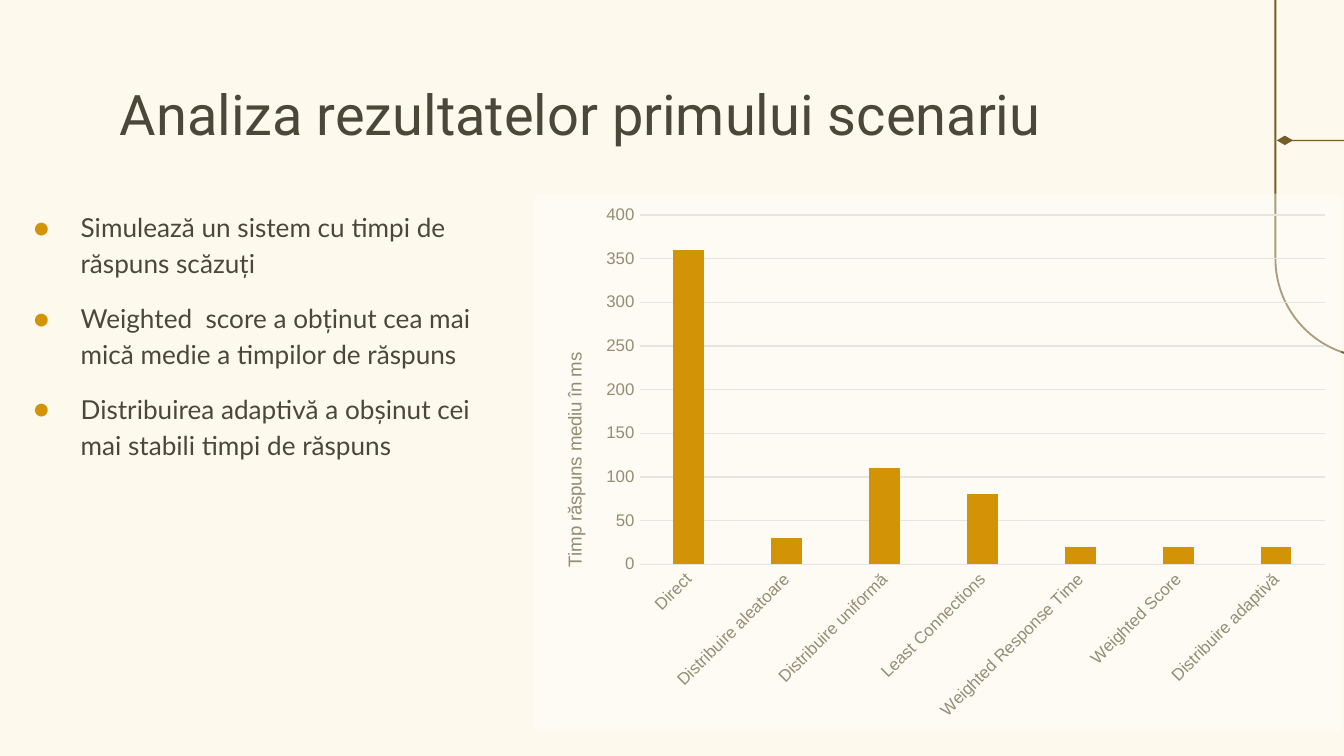
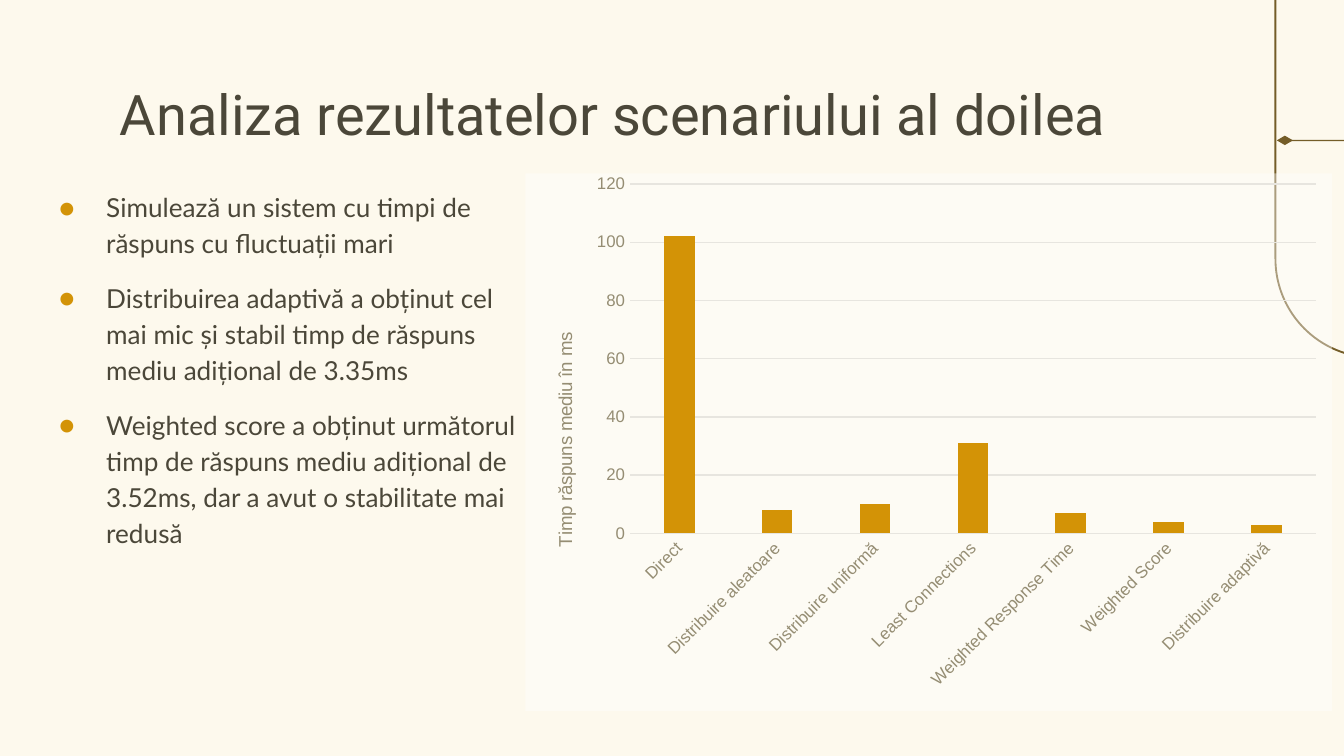
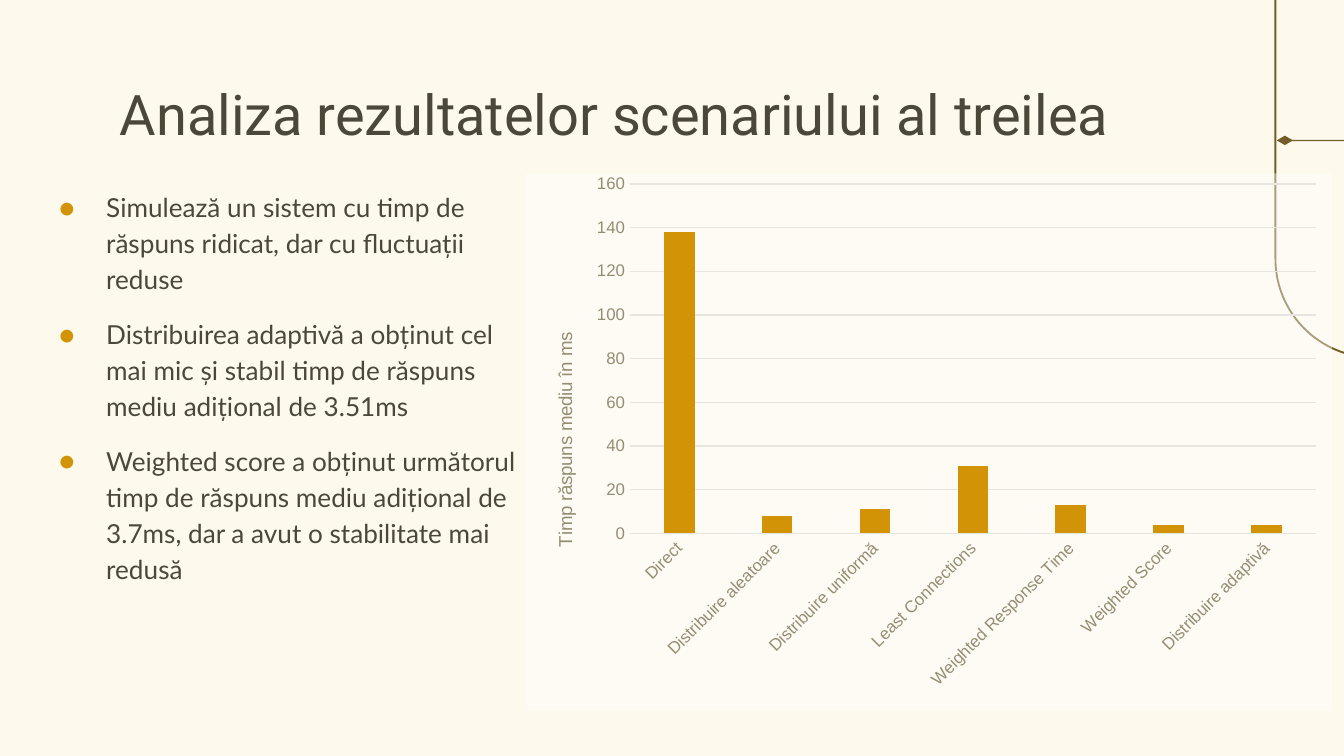
from pptx import Presentation
from pptx import util as u
from pptx.chart.data import CategoryChartData
from pptx.dml.color import RGBColor
from pptx.enum import chart as ch, shapes, text
from pptx.oxml import parse_xml
from pptx.oxml.ns import nsdecls

CREAM, BROWN, INK = "FDF9ED", "745D28", "4B4739"
GOLD, TAUPE, GRID = "D39306", "958D73", "E7E5DF"
HEAD = {"name": "Roboto", "size": u.Pt(30), "bold": False}
LIST = {"name": "Lato", "size": u.Pt(14)}
TICK = {"name": "Arial", "size": u.Pt(9), "bold": False}
LABEL = {**TICK, "size": u.Pt(10)}

METHODS = ["Direct", "Distribuire aleatoare", "Distribuire uniformă",
           "Least Connections", "Weighted Response Time",
           "Weighted Score", "Distribuire adaptivă"]

PAGES = [
    {"title": "Analiza rezultatelor primului scenariu",
     "points": ["Simulează un sistem cu timpi de răspuns scăzuți",
                "Weighted  score a obținut cea mai mică medie a timpilor de răspuns",
                "Distribuirea adaptivă a obșinut cei mai stabili timpi de răspuns"],
     "times": [360, 30, 110, 80, 20, 20, 20],
     "top": 1.44, "left": 0, "edge": 3.98, "peak": 400, "step": 50, "inset": 0.04},
    {"title": "Analiza rezultatelor scenariului al doilea",
     "points": ["Simulează un sistem cu timpi de răspuns cu fluctuații mari",
                "Distribuirea adaptivă a obținut cel mai mic și stabil timp de "
                "răspuns mediu adițional de 3.35ms",
                "Weighted score a obținut următorul timp de răspuns mediu "
                "adițional de 3.52ms, dar a avut o stabilitate mai redusă"],
     "times": [102, 8, 10, 31, 7, 4, 3],
     "top": 1.29, "left": 0.19, "edge": 3.91, "peak": 120, "step": 20, "inset": 0.02},
    {"title": "Analiza rezultatelor scenariului al treilea",
     "points": ["Simulează un sistem cu timp de răspuns ridicat, dar cu fluctuații reduse",
                "Distribuirea adaptivă a obținut cel mai mic și stabil timp de "
                "răspuns mediu adițional de 3.51ms",
                "Weighted score a obținut următorul timp de răspuns mediu "
                "adițional de 3.7ms, dar a avut o stabilitate mai redusă"],
     "times": [138, 8, 11, 31, 13, 4, 4],
     "top": 1.29, "left": 0.19, "edge": 3.91, "peak": 160, "step": 20, "inset": 0.02},
]


def rgb(code):
    return RGBColor.from_string(code)


def apply(item, values):
    for key, value in values.items():
        setattr(item, key, value)


def style(font, values, color):
    apply(font, values)
    font.color.rgb = rgb(color)


def box(*lengths):
    return [u.Inches(n) for n in lengths]


def place(part, index, **spots):
    """Give a chart part a manual layout, in fractions of the chart."""
    for old in part.xpath("c:layout"):
        part.remove(old)
    modes = {"xMode": "edge", "yMode": "edge", **spots}
    marks = "".join(f'<c:{key} val="{value}"/>' for key, value in modes.items())
    part.insert(index, parse_xml(
        f'<c:layout {nsdecls("c")}><c:manualLayout>{marks}'
        '</c:manualLayout></c:layout>'))


class Deck:
    def __init__(self):
        self.show = Presentation()
        apply(self.show, {"slide_width": u.Inches(10),
                          "slide_height": u.Inches(10 * 9 / 16)})
        self.base = self.show.slide_layouts[1]
        fill = self.base.background.fill
        fill.solid()
        fill.fore_color.rgb = rgb(CREAM)

    def page(self):
        self.slide = self.show.slides.add_slide(self.base)

    def holder(self, index, *lengths):
        """Move a placeholder and return its text frame."""
        shape = self.slide.placeholders[index]
        apply(shape, dict(zip(("left", "top", "width", "height"), box(*lengths))))
        frame = shape.text_frame
        sides = ("left", "top", "right", "bottom")
        apply(frame, {f"margin_{side}": u.Inches(0.1) for side in sides})
        apply(frame, {"word_wrap": True, "auto_size": text.MSO_AUTO_SIZE.NONE,
                      "vertical_anchor": text.MSO_ANCHOR.TOP})
        return frame

    def title(self, words):
        frame = self.holder(0, 0.79, 0.49, 8.43, 0.63)
        frame.text = words
        para = frame.paragraphs[0]
        para.alignment = text.PP_ALIGN.LEFT
        style(para.runs[0].font, HEAD, INK)

    def points(self, lines, left, top):
        frame = self.holder(1, left, top, 3.79, 3.22)
        frame.text = "\n".join(lines)
        for para in frame.paragraphs:
            apply(para, {"line_spacing": 1.15, "space_before": u.Pt(10),
                         "space_after": u.Pt(0), "alignment": text.PP_ALIGN.LEFT})
            style(para.runs[0].font, LIST, INK)
            props = para._p.get_or_add_pPr()
            props.set("marL", str(u.Inches(0.5)))
            props.set("indent", str(u.Inches(-0.35)))
            for mark in (f'buClr {nsdecls("a")}><a:srgbClr val="{GOLD}"/></a:buClr',
                         f'buFont {nsdecls("a")} typeface="Lato"/',
                         f'buChar {nsdecls("a")} char="●"/'):
                props.append(parse_xml(f"<a:{mark}>"))

    def chart(self, times, left, top, peak, step, inset):
        data = CategoryChartData()
        data.categories = METHODS
        data.add_series("Series 1", times)
        chart = self.slide.shapes.add_chart(
            ch.XL_CHART_TYPE.COLUMN_CLUSTERED, *box(left, top, 6, 4), data).chart
        apply(chart, {"has_legend": False, "has_title": False})
        style(chart.font, LABEL, INK)

        plot = chart.plots[0]
        apply(plot, {"gap_width": 219, "overlap": -27, "vary_by_categories": False})
        fill = plot.series[0].format.fill
        fill.solid()
        fill.fore_color.rgb = rgb(GOLD)

        cats, vals = chart.category_axis, chart.value_axis
        for axis in (cats, vals):
            apply(axis, {"major_tick_mark": ch.XL_TICK_MARK.NONE,
                         "minor_tick_mark": ch.XL_TICK_MARK.NONE})
            style(axis.tick_labels.font, TICK, TAUPE)
        apply(vals, {"minimum_scale": 0, "maximum_scale": peak,
                     "major_unit": step, "has_major_gridlines": True})
        for line in (cats.format.line, vals.major_gridlines.format.line):
            line.width = u.Pt(0.75)
            line.color.rgb = rgb(GRID)
        vals.format.line.fill.background()

        para = vals.axis_title.text_frame.paragraphs[0]
        run = para.add_run()
        run.text = "Timp răspuns mediu în ms"
        style(run.font, LABEL, TAUPE)

        root = chart.element
        for spot, turn in (("c:catAx/c:txPr", -45), ("c:valAx/c:title", -90)):
            body = root.xpath(f".//{spot}//a:bodyPr")[0]
            body.set("rot", str(turn * 60000))
            body.set("vert", "horz")
        place(root.xpath(".//c:valAx/c:title")[0], 1, x=0.03, y=0.29)
        area = root.xpath(".//c:plotArea")[0]
        place(area, 0, x=0.13, y=inset, w=0.85, h=0.65)
        area.xpath("c:layout/c:manualLayout")[0].insert(0, parse_xml(
            f'<c:layoutTarget {nsdecls("c")} val="inner"/>'))
        root.xpath("c:chart")[0].addnext(parse_xml(
            f'<c:spPr {nsdecls("c", "a")}><a:solidFill><a:srgbClr val="FFFFFF">'
            '<a:alpha val="40000"/></a:srgbClr></a:solidFill>'
            '<a:ln><a:noFill/></a:ln></c:spPr>'))

    def shape(self, kind, *lengths):
        """Draw a brown shape on the layout that all slides share."""
        shape = self.slide.shapes.add_shape(kind, *box(*lengths))
        shape.shadow.inherit = False
        shape.fill.solid()
        shape.fill.fore_color.rgb = rgb(BROWN)
        shape.line.fill.background()
        self.base.shapes.element.append(shape.element)
        return shape

    def frame(self):
        kind = shapes.MSO_SHAPE
        ring = self.shape(kind.ROUNDED_RECTANGLE, 9.49, -2.23, 1.47, 4.89)
        ring.adjustments[0] = 0.5
        ring.fill.background()
        ring.line.width = u.Pt(1)
        ring.line.color.rgb = rgb(BROWN)
        self.shape(kind.RECTANGLE, 9.59, 1.04, 1.66, 0.01)
        self.shape(kind.DIAMOND, 9.5, 1.01, 0.12, 0.07)


def main():
    deck = Deck()
    for page in PAGES:
        deck.page()
        deck.title(page["title"])
        deck.points(page["points"], page["left"], page["top"])
        deck.chart(page["times"], page["edge"], page["top"],
                   page["peak"], page["step"], page["inset"])
    deck.frame()
    deck.show.save("out.pptx")


if __name__ == "__main__":
    main()
